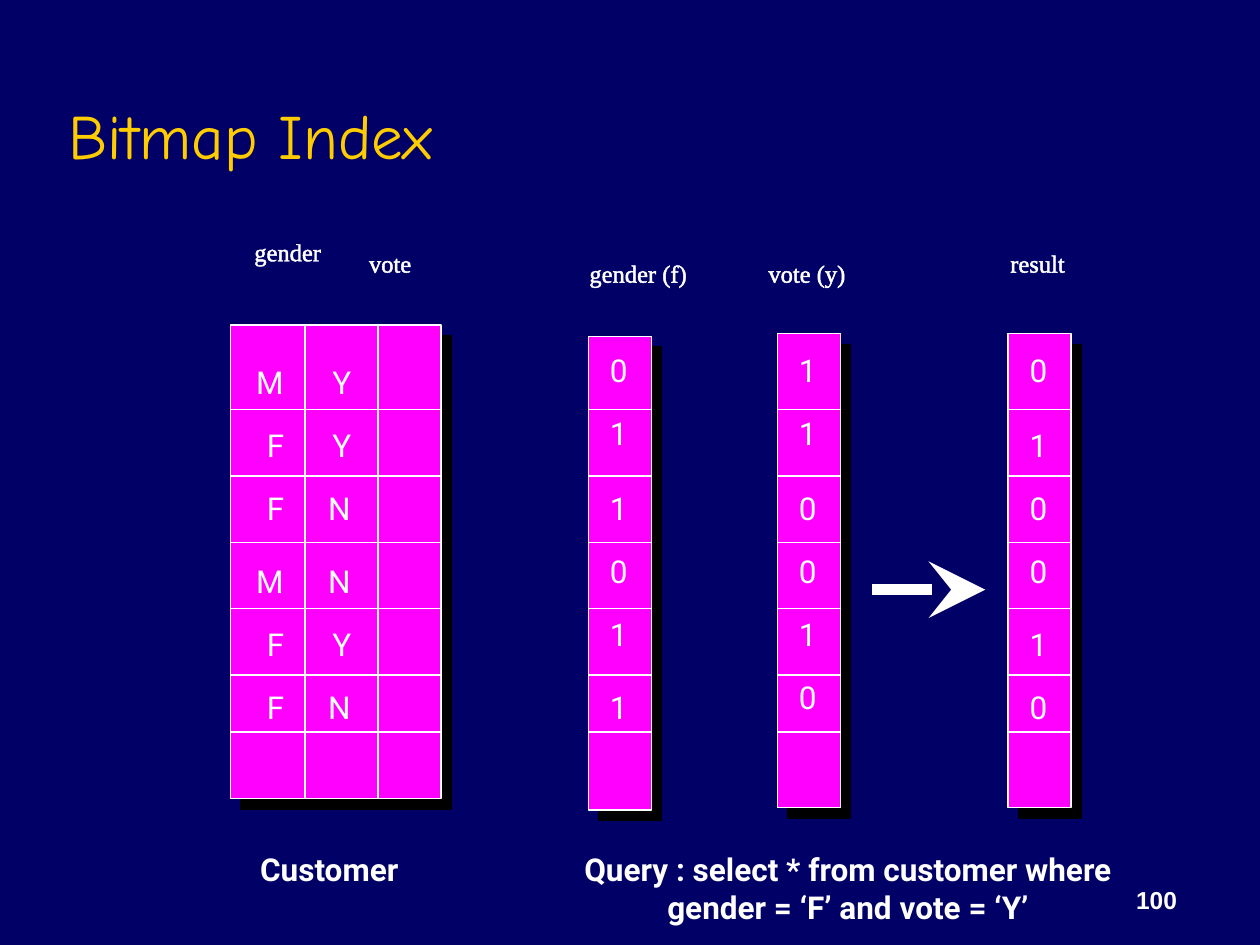
from lxml.etree import SubElement
from pptx import Presentation
from pptx.dml.color import RGBColor
from pptx.enum.shapes import MSO_CONNECTOR, MSO_SHAPE
from pptx.enum.text import MSO_ANCHOR, PP_ALIGN
from pptx.oxml.ns import qn
from pptx.util import Inches, Pt

NAVY, GOLD, PINK, WHITE, BLACK = "000066", "FFCC00", "FF00FF", "FFFFFF", "000000"


def color(value):
    return RGBColor.from_string(value)


def add_solid(parent, value):
    fill = SubElement(parent, qn("a:solidFill"))
    SubElement(fill, qn("a:srgbClr"), val=value)


class SlideBuilder:
    """Holds the text style and the page, and draws each kind of element."""

    body = {"name": "Roboto", "size": Pt(18), "bold": False}
    strong = {**body, "bold": True}
    label = {"name": "Times New Roman", "size": Pt(14), "bold": False}
    heading = {"name": "Comic Neue", "size": Pt(36), "bold": False}
    number = {"name": "Arial", "size": Pt(14), "bold": True}

    def __init__(self, page):
        self.page = page
        self.shapes = page.shapes
        fill = page.background.fill
        fill.solid()
        fill.fore_color.rgb = color(NAVY)

    def start_group(self):
        self.shapes = self.page.shapes.add_group_shape().shapes

    def end_group(self):
        self.shapes = self.page.shapes

    def style(self, para, style, ink, align):
        para.alignment = align
        for name, value in style.items():
            setattr(para.font, name, value)
        para.font.color.rgb = color(ink)

    def title(self, text, left, top, width, height):
        box = self.page.shapes.title
        frame = {"left": left, "top": top, "width": width, "height": height}
        for name, value in frame.items():
            setattr(box, name, Inches(value))
        box.text_frame.text = text
        box.text_frame.vertical_anchor = MSO_ANCHOR.BOTTOM
        self.style(box.text_frame.paragraphs[0], self.heading, GOLD, PP_ALIGN.LEFT)

    def text(self, text, left, top, width, height, style=None,
             align=PP_ALIGN.RIGHT, wrap=False, anchor=MSO_ANCHOR.TOP):
        box = self.shapes.add_textbox(*map(Inches, (left, top, width, height)))
        box.text_frame.text = text
        box.text_frame.word_wrap = wrap
        box.text_frame.vertical_anchor = anchor
        for para in box.text_frame.paragraphs:
            self.style(para, style or self.body, WHITE, align)
        return box

    def outlined_label(self, text, left, top, width, height):
        box = self.text(text, left, top, width, height, self.label, PP_ALIGN.LEFT)
        span = box.text_frame.paragraphs[0].runs[0]
        properties = span.font._element
        outline = SubElement(properties, qn("a:ln"), w=str(Pt(0.75)))
        add_solid(outline, WHITE)
        properties.insert(0, outline)

    def panel(self, left, top, width, height):
        box = self.shapes.add_shape(
            MSO_SHAPE.RECTANGLE, *map(Inches, (left, top, width, height)))
        box.fill.solid()
        box.fill.fore_color.rgb = color(PINK)
        box.line.color.rgb = color(WHITE)
        box.line.width = Pt(0.75)
        # Hard drop shadow to the lower right
        effects = SubElement(box._element.spPr, qn("a:effectLst"))
        shadow = SubElement(effects, qn("a:outerShdw"), blurRad="0",
                            dist=str(Pt(8.5)), dir=str(45 * 60000),
                            algn="ctr", rotWithShape="0")
        SubElement(shadow, qn("a:srgbClr"), val=BLACK)

    def line(self, x1, y1, x2, y2, width=0.75, arrow=False):
        rule = self.shapes.add_connector(
            MSO_CONNECTOR.STRAIGHT, *map(Inches, (x1, y1, x2, y2)))
        rule.line.color.rgb = color(WHITE)
        rule.line.width = Pt(width)
        if arrow:
            SubElement(rule.line._get_or_add_ln(), qn("a:tailEnd"),
                       type="stealth", w="lg", len="lg")
        SubElement(rule._element.spPr, qn("a:effectLst"))

    def grid(self, left, top, width, dividers=()):
        """Panel with six row rules and optional column rules."""
        height = 3.76
        self.panel(left, top, width, height)
        for y in [3.25 + 0.527 * row for row in range(5)] + [5.81]:
            self.line(left, y, left + width, y)
        for x in dividers:
            self.line(x, top, x, top + height, 1.5)

    def values(self, letters, right, tops):
        widths = {"M": 0.42, "F": 0.33, "N": 0.39}
        for letter, top in zip(letters, tops):
            width = widths.get(letter, 0.34)
            self.text(letter, right - width, top, width, 0.4)


def main():
    deck = Presentation()
    deck.slide_width, deck.slide_height = Inches(10), Inches(7.5)
    builder = SlideBuilder(deck.slides.add_slide(deck.slide_layouts[5]))
    builder.title("Bitmap Index", 0.44, 0.25, 8.5, 1.17)

    # Captions
    builder.text("Customer", 1.84, 6.7, 1.42, 0.4, builder.strong)
    builder.text("Query : select * from customer where\ngender = ‘F’ and vote = ‘Y’",
                 4.29, 6.7, 4.88, 0.7, builder.strong, PP_ALIGN.CENTER)

    # Bitmap columns: left, top, bits, tops of the bits
    bitmaps = [
        (4.67, 2.67, "011011", (2.74, 3.24, 3.83, 4.33, 4.83, 5.41)),
        (6.17, 2.65, "110010", (2.74, 3.24, 3.83, 4.33, 4.83, 5.33)),
        (8, 2.65, "010010", (2.74, 3.33, 3.83, 4.33, 4.91, 5.41)),
    ]
    builder.start_group()
    for left, top, bits, tops in bitmaps:
        builder.grid(left, top, 0.5)
        builder.values(bits, left + 0.41, tops)
    builder.line(6.92, 4.68, 7.82, 4.68, 6.5, arrow=True)

    # Customer table
    builder.start_group()
    builder.grid(1.83, 2.58, 1.67, dividers=(2.42, 3))
    customer_tops = (2.83, 3.33, 3.83, 4.41, 4.91, 5.41)
    builder.values("MFFMFF", 2.35, customer_tops)
    builder.values("YYNNYN", 2.88, customer_tops)
    builder.end_group()

    # Column labels
    labels = [
        ("gender", 1.92, 1.83, 0.76, 0.72),
        ("vote", 2.83, 1.92, 0.58, 0.53),
        ("gender (f)", 4.58, 2, 1.04, 0.57),
        ("vote (y)", 6, 2, 0.81, 0.57),
        ("result", 7.92, 1.92, 0.63, 0.57),
    ]
    for label in labels:
        builder.outlined_label(*label)

    # Page number
    builder.text("100", 7.36, 6.81, 2.08, 0.5, builder.number,
                 wrap=True, anchor=MSO_ANCHOR.BOTTOM)

    deck.save("out.pptx")


if __name__ == "__main__":
    main()
